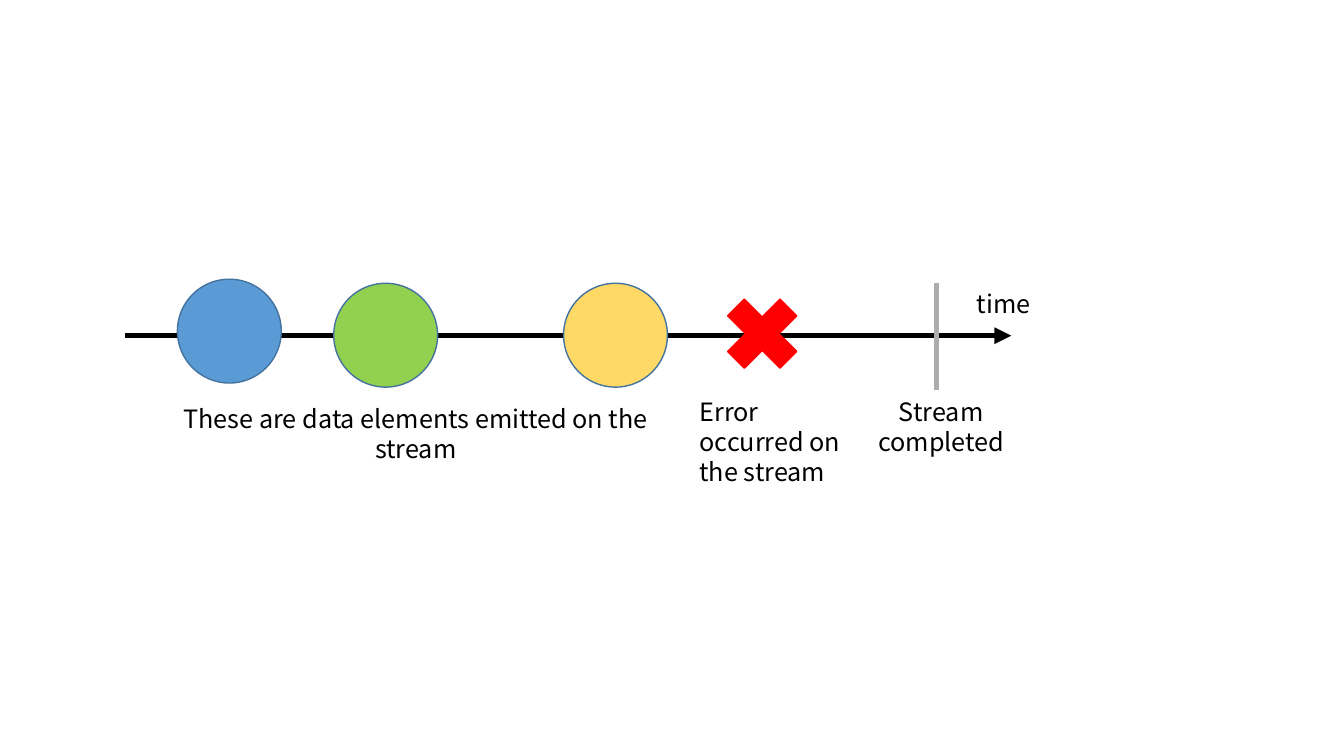
from typing import NamedTuple

from lxml import etree
from pptx import Presentation
from pptx.dml.color import RGBColor
from pptx.enum.shapes import MSO_CONNECTOR, MSO_SHAPE
from pptx.enum.text import MSO_AUTO_SIZE, PP_ALIGN
from pptx.oxml.ns import qn
from pptx.util import Inches, Pt

OVAL, CROSS = MSO_SHAPE.OVAL, MSO_SHAPE.MATH_MULTIPLY
STRAIGHT = MSO_CONNECTOR.STRAIGHT
LEFT, CENTER = PP_ALIGN.LEFT, PP_ALIGN.CENTER
GROW = MSO_AUTO_SIZE.SHAPE_TO_FIT_TEXT

BLACK = RGBColor(0x00, 0x00, 0x00)
BLUE = RGBColor(0x5B, 0x9B, 0xD5)
GREEN = RGBColor(0x92, 0xD0, 0x50)
YELLOW = RGBColor(0xFF, 0xD9, 0x66)
RED = RGBColor(0xFF, 0x00, 0x00)
EDGE = RGBColor(0x43, 0x73, 0x9E)
GRAY = RGBColor(0xAF, 0xAB, 0xAB)
FONT = "Noto Sans CJK SC"

WIDTH, HEIGHT = Inches(13.33), Inches(7.5)
# Places are percent shares of the slide.
AXIS, TOP, NOTE = 44.4, 37.47, 51.73
DOT, MARK = 7.73, 7.5
ONE, TWO = 5.33, 9.47  # heights of one and two lines of text


class Event(NamedTuple):
    """A mark on the stream; its size is a share of the width."""
    kind: int
    left: float
    top: float
    size: float
    fill: RGBColor
    edge: RGBColor


class Rule(NamedTuple):
    """A straight line."""
    left: float
    top: float
    right: float
    bottom: float
    color: RGBColor
    arrow: bool


class Label(NamedTuple):
    """A caption."""
    text: str
    left: float
    top: float
    width: float
    height: float
    align: int


TIME = Rule(9.3, AXIS, 75.24, AXIS, BLACK, True)
END = Rule(69.69, TOP, 69.69, 51.6, GRAY, False)
EVENTS = [
    Event(OVAL, 13.2, 36.93, DOT, BLUE, EDGE),
    Event(OVAL, 24.83, TOP, DOT, GREEN, EDGE),
    Event(OVAL, 41.93, TOP, DOT, YELLOW, EDGE),
    Event(CROSS, 52.96, TOP, MARK, RED, RED),
]
LABELS = [
    Label("These are data elements emitted on the stream",
          10.57, 52.67, 40.73, ONE, CENTER),
    Label("Error occurred on the stream", 51.31, NOTE, 13.05, TWO, LEFT),
    Label("Stream completed", 64.44, NOTE, 11.18, TWO, CENTER),
    Label("time", 71.94, TOP, 11.18, ONE, LEFT),
]


def across(share: float) -> int:
    """Turn a share of the width into a length."""
    return round(WIDTH * share / 100)


def down(share: float) -> int:
    """Turn a share of the height into a length."""
    return round(HEIGHT * share / 100)


def draw_rule(slide, rule: Rule) -> None:
    """Draw a thick line, with an arrowhead if asked."""
    line = slide.shapes.add_connector(
        STRAIGHT, across(rule.left), down(rule.top),
        across(rule.right), down(rule.bottom))
    line.line.color.rgb = rule.color
    line.line.width = Pt(4)
    if rule.arrow:
        stroke = line.line._get_or_add_ln()
        etree.SubElement(stroke, qn("a:tailEnd"), type="triangle")
    etree.SubElement(line._element.spPr, qn("a:effectLst"))


def draw_event(slide, event: Event) -> None:
    """Draw a mark as wide as it is high."""
    size = across(event.size)
    shape = slide.shapes.add_shape(
        event.kind, across(event.left), down(event.top), size, size)
    shape.shadow.inherit = False
    shape.fill.solid()
    shape.fill.fore_color.rgb = event.fill
    shape.line.color.rgb = event.edge
    shape.line.width = Pt(1)


def draw_label(slide, label: Label) -> None:
    """Write a caption in a wrapping box."""
    box = slide.shapes.add_textbox(
        across(label.left), down(label.top),
        across(label.width), down(label.height))
    frame = box.text_frame
    frame.text = label.text
    frame.word_wrap = True
    frame.auto_size = GROW
    para = frame.paragraphs[0]
    para.alignment = label.align
    font = para.runs[0].font
    font.name, font.size = FONT, Pt(18)
    font.color.rgb = BLACK


def main() -> None:
    """Build the slide and save it."""
    deck = Presentation()
    deck.slide_width, deck.slide_height = WIDTH, HEIGHT
    slide = deck.slides.add_slide(deck.slide_layouts[6])
    draw_rule(slide, TIME)
    for event in EVENTS:
        draw_event(slide, event)
    draw_rule(slide, END)
    for label in LABELS:
        draw_label(slide, label)
    deck.save("out.pptx")


main()
